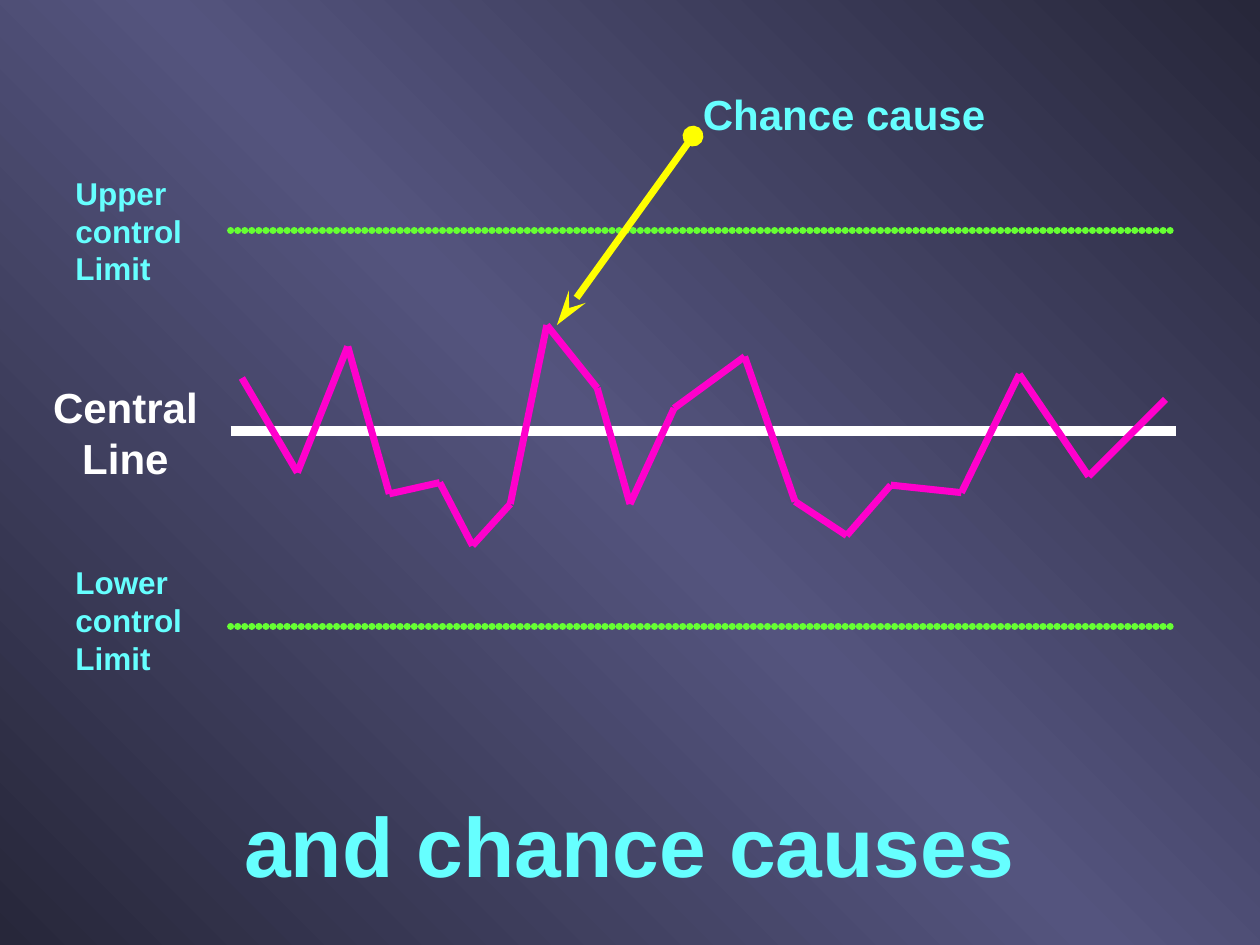
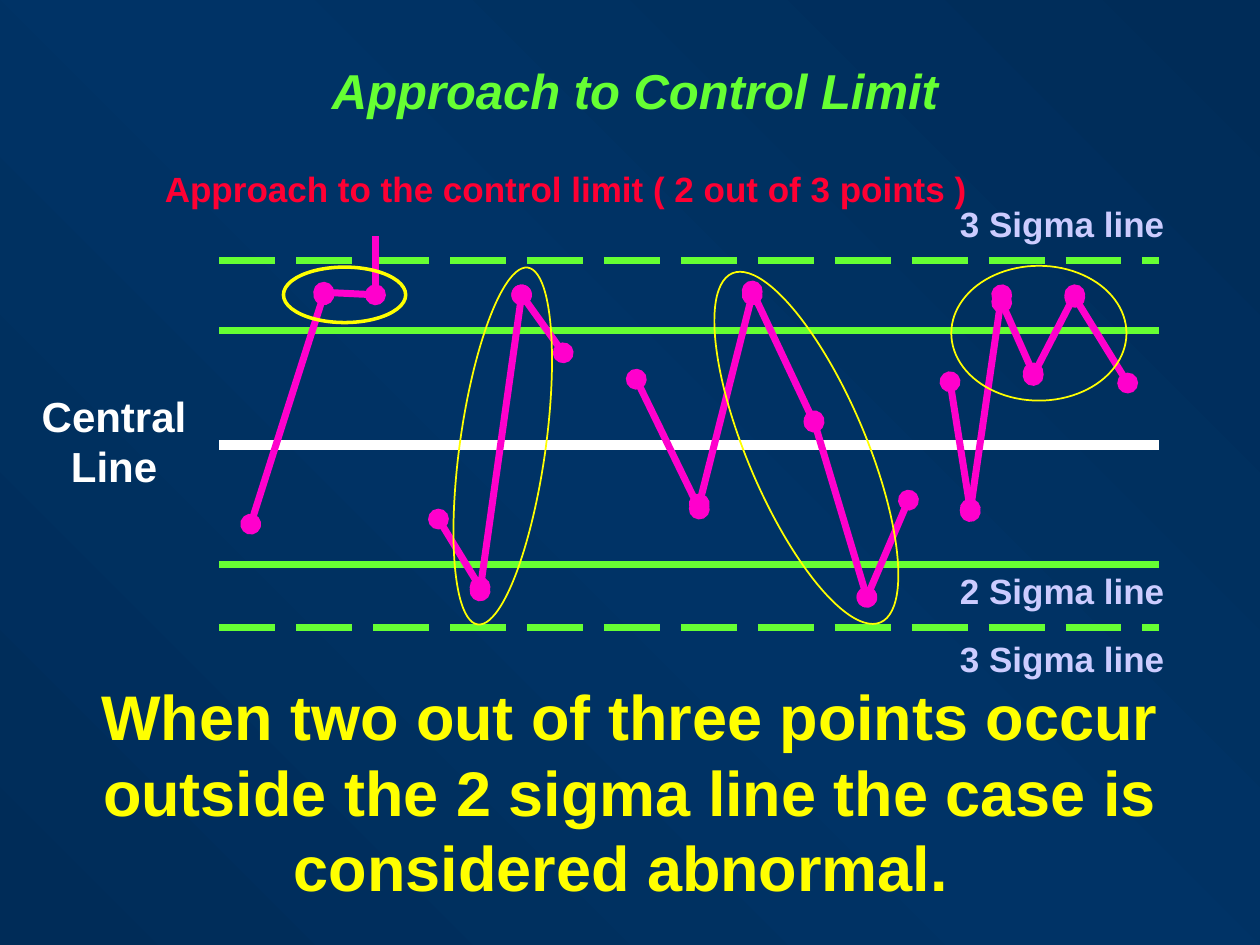
import itertools
import copy
import pptx
import pptx.util
import pptx.dml.color
import pptx.enum.dml
import pptx.enum.shapes
import pptx.enum.text
import pptx.oxml
import pptx.oxml.ns
from pptx.util import Inches

RGBColor = pptx.dml.color.RGBColor
CYAN = RGBColor(0x66, 0xFF, 0xFF)
WHITE = RGBColor(0xFF, 0xFF, 0xFF)
GREEN = RGBColor(0x66, 0xFF, 0x33)
PINK = RGBColor(0xFF, 0x00, 0xCC)
YELLOW = RGBColor(0xFF, 0xFF, 0x00)
LILAC = RGBColor(0xCC, 0xCC, 0xFF)
RED = RGBColor(0xFF, 0x00, 0x33)
DUSK = RGBColor(0x27, 0x27, 0x3A)
PLUM = RGBColor(0x54, 0x54, 0x7E)
NAVY = RGBColor(0x00, 0x2C, 0x58)
BLUE = RGBColor(0x00, 0x33, 0x66)
FONT = "Arial"
LEAD = 1.2
THICK = 4
LEFT = pptx.enum.text.PP_ALIGN.LEFT
MID = pptx.enum.text.PP_ALIGN.CENTER
LONG = pptx.enum.dml.MSO_LINE.LONG_DASH


class Deck:
    def __init__(self):
        self.file = pptx.Presentation()
        self.file.slide_width = Inches(10)
        self.file.slide_height = Inches(7.5)
        self.slide = None

    def page(self, edge, core):
        self.slide = self.file.slides.add_slide(self.file.slide_layouts[6])
        fill = self.slide.background.fill
        fill.gradient()
        fill.gradient_angle = 45
        stops = self.slide.element.find(".//" + pptx.oxml.ns.qn("a:gsLst"))
        stops.insert(1, copy.deepcopy(stops[0]))
        for stop, tint, place in zip(fill.gradient_stops, (edge, core, edge), (0, 0.5, 1)):
            stop.color.rgb = tint
            stop.position = place

    def text(self, box, lines, size, color, align=LEFT, wrap=False, slant=False):
        frame = self.slide.shapes.add_textbox(*map(Inches, box)).text_frame
        frame.word_wrap = wrap
        for num, line in enumerate(lines):
            para = frame.add_paragraph() if num else frame.paragraphs[0]
            para.alignment = align
            para.line_spacing = pptx.util.Pt(size * LEAD)
            run = para.add_run()
            run.text = line
            font = run.font
            font.name = FONT
            font.size = pptx.util.Pt(size)
            font.bold = True
            font.italic = slant
            font.color.rgb = color

    def line(self, start, end, color, width=THICK, dash=None, dots=False, tips=()):
        kind = pptx.enum.shapes.MSO_CONNECTOR.STRAIGHT
        link = self.slide.shapes.add_connector(kind, *map(Inches, (*start, *end)))
        link.line.color.rgb = color
        link.line.width = pptx.util.Pt(width)
        if dash:
            link.line.dash_style = dash
        props = link.element.spPr
        stroke = props.find(pptx.oxml.ns.qn("a:ln"))
        if dots:
            stroke.set("cap", "rnd")
            self.add(stroke, "custDash")
            rule = self.add(stroke[-1], "ds")
            rule.set("d", "1000")
            rule.set("sp", "100000")
        for tag, (kind, size) in zip(("headEnd", "tailEnd"), tips):
            tip = self.add(stroke, tag)
            tip.set("type", kind)
            tip.set("w", "med")
            tip.set("len", size)
        self.add(props, "effectLst")

    def add(self, node, tag):
        child = pptx.oxml.parse_xml(f"<a:{tag} {pptx.oxml.ns.nsdecls('a')}/>")
        node.append(child)
        return child

    def trace(self, points, tips=()):
        for start, end in itertools.pairwise(points):
            self.line((start[0], start[-1]), end[:2], PINK, tips=tips)

    def ring(self, box, width=1, turn=0):
        oval = pptx.enum.shapes.MSO_SHAPE.OVAL
        shape = self.slide.shapes.add_shape(oval, *map(Inches, box))
        shape.shadow.inherit = False
        shape.fill.background()
        shape.line.color.rgb = YELLOW
        shape.line.width = pptx.util.Pt(width)
        shape.rotation = turn

    def center(self, left, top):
        self.text((left, top, 1.35, 0.9), ("Central", "Line"), 24, WHITE, MID)


def chance(deck):
    deck.page(DUSK, PLUM)
    deck.text((0.33, 6.25, 9.33, 0.9), ["and chance causes"], 48, CYAN, MID, True)
    deck.line((1.83, 3.42), (9.33, 3.42), WHITE, 6)
    deck.center(0.32, 2.98)
    for name, top, level in (("Upper", 1.33, 1.83), ("Lower", 4.42, 4.97)):
        deck.line((1.83, level), (9.33, level), GREEN, dots=True)
        deck.text((0.5, top, 1.17, 1), (name, "control", "Limit"), 18, CYAN, wrap=True)
    deck.trace([
        (1.92, 3), (2.36, 3.75), (2.76, 2.75), (3.09, 3.92), (3.49, 3.83),
        (3.75, 4.33), (4.05, 4), (4.34, 2.58), (4.74, 3.08), (5, 4),
        (5.35, 3.24), (5.91, 2.83), (6.31, 3.98), (6.72, 4.25), (7.07, 3.85),
        (7.63, 3.91), (8.09, 2.97), (8.64, 3.78), (9.25, 3.17),
    ])
    deck.line((4.42, 2.58), (5.5, 1.08), YELLOW, tips=(("stealth", "lg"), ("oval", "med")))
    deck.text((5.48, 0.65, 2.44, 0.5), ["Chance cause"], 24, CYAN)


def limit(deck):
    deck.page(NAVY, BLUE)
    deck.text((0.33, 0.43, 9.42, 0.57), ["Approach to Control Limit"], 28, GREEN, MID, True, True)
    deck.text(
        (0, 5.33, 10, 1.9),
        ["When two out of three points occur outside the 2 sigma line the case is considered abnormal. "],
        36, YELLOW, MID, True,
    )
    deck.center(0.23, 3.05)
    for level, color, width, dash in (
        (2.62, GREEN, THICK, None), (3.53, WHITE, 6, None), (4.48, GREEN, THICK, None),
        (2.07, GREEN, THICK, LONG), (4.98, GREEN, THICK, LONG),
    ):
        deck.line((1.74, level), (9.2, level), color, width, dash)
    for num, top in ((3, 1.56), (3, 5.01), (2, 4.47)):
        deck.text((7.52, top, 1.83, 0.43), [f"{num} Sigma line"], 20, LILAC)
    balls = (("oval", "med"),) * 2
    for points in (
        [(1.99, 4.16), (2.57, 2.34, 2.32), (2.98, 2.34)],
        [(3.48, 4.12), (3.81, 4.66, 4.69), (4.14, 2.34), (4.47, 2.8)],
        [(5.05, 3.01), (5.55, 4.04, 4), (5.97, 2.34, 2.31), (6.46, 3.35, 3.34),
         (6.88, 4.74), (7.21, 3.97)],
        [(7.54, 3.03), (7.7, 4.04, 4.06), (7.95, 2.34, 2.4), (8.2, 2.96, 2.98),
         (8.53, 2.34, 2.36), (8.95, 3.04)],
    ):
        deck.trace(points, balls)
    deck.trace([(2.98, 2.31), (2.98, 1.87)])
    deck.ring((2.25, 2.12, 0.97, 0.44), 2)
    deck.ring((3.65, 2.11, 0.68, 2.86), turn=8)
    deck.ring((5.93, 2.05, 0.94, 3.01), turn=337)
    deck.ring((7.55, 2.11, 1.39, 1.07))
    deck.text((1.21, 1.28, 6.57, 0.43), ["Approach to the control limit ( 2 out of 3 points )"], 20, RED)


def main():
    deck = Deck()
    chance(deck)
    limit(deck)
    deck.file.save("out.pptx")


if __name__ == "__main__":
    main()
